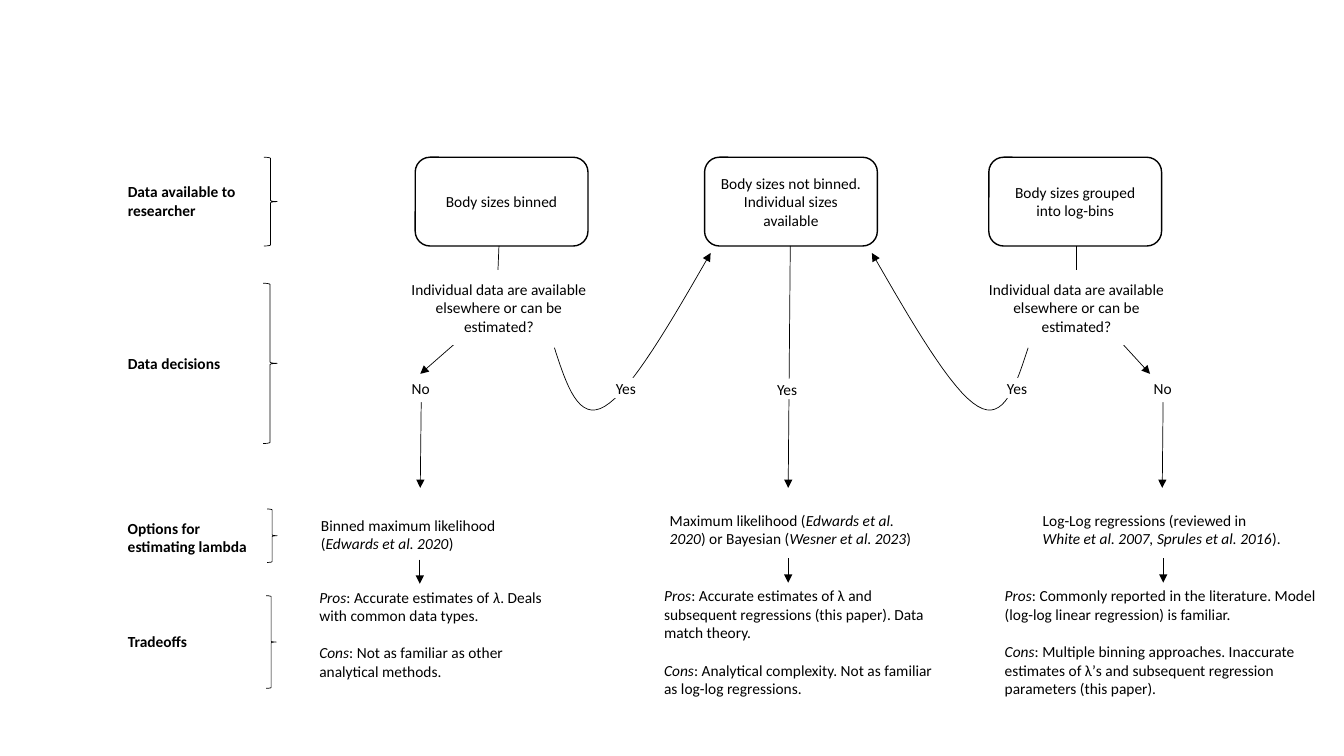
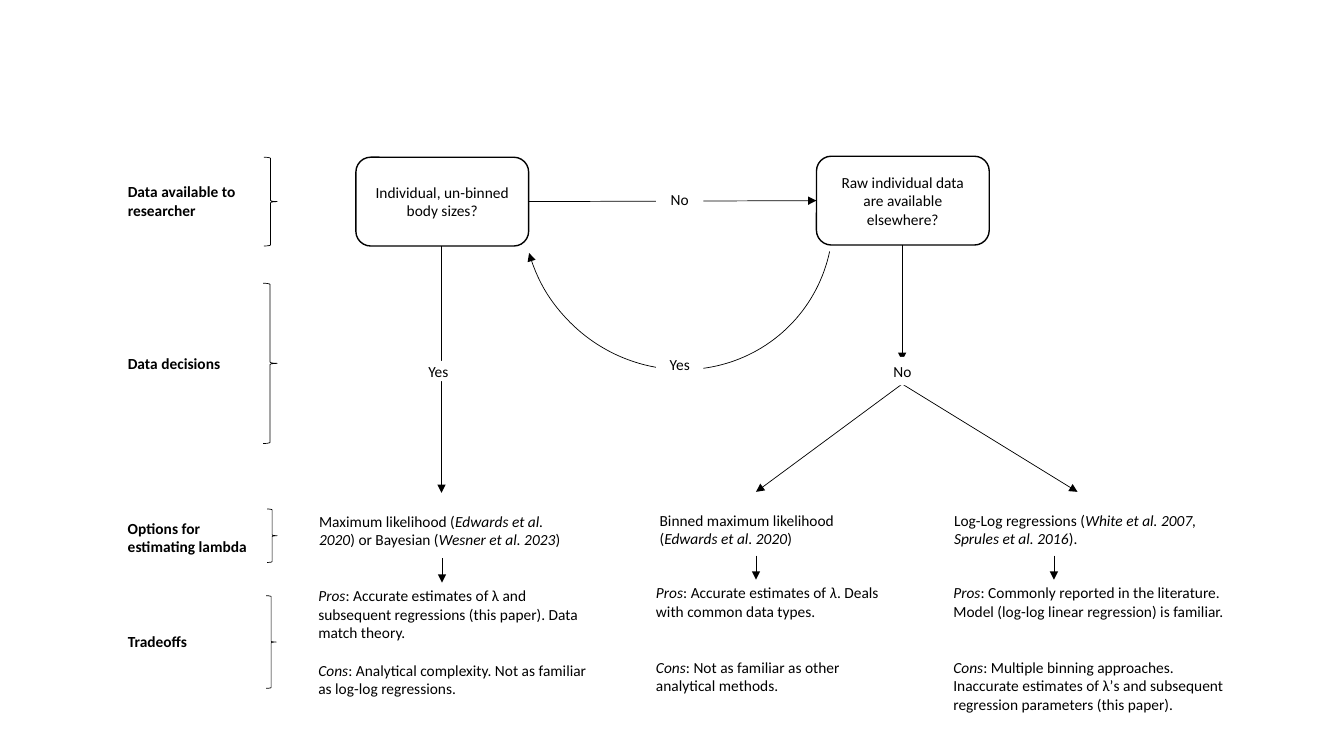
from lxml.etree import SubElement
from pptx import Presentation
from pptx.dml.color import RGBColor
from pptx.enum.shapes import MSO_CONNECTOR, MSO_SHAPE
from pptx.enum.text import MSO_ANCHOR, MSO_AUTO_SIZE, PP_ALIGN
from pptx.oxml.ns import qn
from pptx.util import Pt

INK = {"text": "000000", "line": "000000", "back": "FFFFFF"}
FONT, SIZE = "Calibri", 11
GAP = 13.4  # one line of text
NODE = (123.4, 63.4)
YES, NO = (43.2, 14.4), (33.8, 20.2)


def ink(shape, width=0.5, head=False):
    """Plain black line without shadow, with an arrowhead if asked."""
    shape.line.color.rgb = RGBColor.from_string(INK["line"])
    shape.line.width = Pt(width)
    props = shape._element.spPr
    if head:
        SubElement(props.find(qn("a:ln")), qn("a:tailEnd"), type="triangle")
    SubElement(props, qn("a:effectLst"))


def put(page, kind, box, text, gap=0):
    """Text of one kind: node, tag, option, note or side; *stars* mark italics."""
    place = [Pt(v) for v in box]
    if kind in ("note", "side"):
        shape = page.shapes.add_textbox(*place)
        shape.text_frame.auto_size = MSO_AUTO_SIZE.SHAPE_TO_FIT_TEXT
    else:
        shape = page.shapes.add_shape(MSO_SHAPE.ROUNDED_RECTANGLE, *place)
        shape.text_frame.vertical_anchor = MSO_ANCHOR.MIDDLE
        if kind == "node":
            shape.fill.background()
            ink(shape, 1)
        else:
            shape.shadow.inherit = False
            shape.fill.solid()
            shape.fill.fore_color.rgb = RGBColor.from_string(INK["back"])
            shape.line.fill.background()
    frame = shape.text_frame
    frame.word_wrap = box[2] > 60
    for i, part in enumerate(text.split("\n")):
        para = frame.add_paragraph() if i else frame.paragraphs[0]
        para.alignment = PP_ALIGN.CENTER if kind in ("node", "tag") else PP_ALIGN.LEFT
        if i:
            para.space_before = Pt(gap)
        for j, piece in enumerate(part.split("*")):
            if piece:
                run = para.add_run()
                run.text = piece
                run.font.name, run.font.size = FONT, Pt(SIZE)
                run.font.bold, run.font.italic = kind == "side", j % 2 == 1
                run.font.color.rgb = RGBColor.from_string(INK["text"])


deck = Presentation()
deck.slide_width, deck.slide_height = Pt(960), Pt(540)
flow, tree = [deck.slides.add_slide(deck.slide_layouts[6]) for _ in range(2)]

# Row names and braces on both slides: label top, width, height, then brace
ROWS = [
    ("Data available to researcher", 126.7, 135.4, 33.8, (188.6, 112.3, 9.4, 63.4)),
    ("Data decisions", 249.1, 135.4, 20.9, (187.9, 202.3, 10.1, 114.5)),
    ("Options for estimating lambda", 367.2, 105.8, 33.8, (190.8, 363.6, 7.2, 38.2)),
    ("Tradeoffs", 447.8, 135.4, 20.9, (190.1, 425.5, 7.2, 66.2)),
]
for page in (flow, tree):
    for name, top, wide, high, brace in ROWS:
        put(page, "side", (84.2, top, wide, high), name)
        shape = page.shapes.add_shape(MSO_SHAPE.RIGHT_BRACE, *[Pt(v) for v in brace])
        shape.fill.background()
        ink(shape)

# Straight links: from, to, arrowhead
LINKS = [
    (flow, 830.9, 277.2, 830.2, 348.5, True),
    (flow, 301, 277.2, 300.2, 348.5, True),
    (flow, 346.3, 226.8, 300.2, 267.1, True),
    (flow, 781.9, 223.9, 821.5, 267.1, True),
    (flow, 564.5, 175.7, 563, 348.5, True),
    (flow, 769, 175.7, 769, 193, False),
    (flow, 356.4, 175.7, 355.7, 193, False),
    (tree, 644.4, 274.3, 540, 351.4, True),
    (tree, 644.4, 274.3, 769.7, 351.4, True),
    (tree, 644.4, 175, 644.4, 257.8, True),
    (tree, 315.4, 175.7, 315.4, 352.1, True),
    (tree, 378, 144, 583.2, 143.3, True),
]
for page, *ends, head in LINKS:
    ink(page.shapes.add_connector(MSO_CONNECTOR.STRAIGHT, *[Pt(v) for v in ends]), head=head)

# Curved "Yes" arrows: two Bezier spans, and the same mirrored
BEND = [(734.4, 248.4), (725.8, 275), (717.1, 301.7), (698.4, 290.2),
        (679.7, 279.4), (650.9, 229.7), (622.8, 180.7)]
STEPS = 16
for flip in (False, True):
    knots = [(1130.4 - x if flip else x, y) for x, y in BEND]
    dots = [knots[0]]
    for start in (0, 3):
        span = knots[start:start + 4]
        for step in range(1, STEPS + 1):
            t = step / STEPS
            mix = ((1 - t) ** 3, 3 * t * (1 - t) ** 2, 3 * t * t * (1 - t), t ** 3)
            dots.append(tuple(sum(m * p[k] for m, p in zip(mix, span)) for k in (0, 1)))
    dots = [(Pt(x), Pt(y)) for x, y in dots]
    pen = flow.shapes.build_freeform(*dots[0], scale=1.0)
    pen.add_line_segments(dots[1:], close=False)
    curve = pen.convert_to_shape()
    curve.fill.background()
    ink(curve, head=True)

# Arc back to the first node
arc = tree.shapes.add_shape(MSO_SHAPE.ARC, Pt(375.1), Pt(40.3), Pt(218.2), Pt(225.4))
arc.rotation = 137
arc.adjustments[0], arc.adjustments[1] = 142.07, 17.031
arc.fill.background()
ink(arc, head=True)

# Nodes
for page, left, top, text in [
    (flow, 296.6, 112.3, "Body sizes binned"),
    (flow, 503.3, 112.3, "Body sizes not binned. Individual sizes available"),
    (flow, 706.3, 112.3, "Body sizes grouped into log-bins"),
    (tree, 254.2, 112.3, "Individual, un-binned body sizes?"),
    (tree, 583.2, 111.6, "Raw individual data are available elsewhere?"),
]:
    put(page, "node", (left, top, *NODE), text)

# Questions and answers on the links
ASK = "Individual data are available elsewhere or can be estimated?"
for page, left, top, size, text in [
    (flow, 277.2, 193, (158.4, 53.3), ASK),
    (flow, 691.2, 193, (155.5, 53.3), ASK),
    (flow, 283.7, 267.1, NO, "No"),
    (flow, 813.6, 267.1, NO, "No"),
    (flow, 425.5, 270, YES, "Yes"),
    (flow, 540.7, 270.7, YES, "Yes"),
    (flow, 704.9, 270, YES, "Yes"),
    (tree, 291.6, 257.8, YES, "Yes"),
    (tree, 468.7, 136.1, (33.8, 12.2), "No"),
    (tree, 468.7, 241.9, (33.8, 37.4), "Yes"),
    (tree, 627.8, 254.9, NO, "No"),
]:
    put(page, "tag", (left, top, *size), text)

# Options with their tradeoffs
BINNED = "Binned maximum likelihood (*Edwards et al. 2020*)"
LIKELY = "Maximum likelihood (*Edwards et al. 2020*) or Bayesian (*Wesner et al. 2023*)"
LOGS = "Log-Log regressions (%s*White et al. 2007, Sprules et al. 2016*)."
TRADE = {
    "binned": "*Pros*: Accurate estimates of *λ*. Deals with common data types.\n"
              "*Cons*: Not as familiar as other analytical methods. ",
    "likely": "*Pros*: Accurate estimates of λ and subsequent regressions (this paper). "
              "Data match theory.\n"
              "*Cons*: Analytical complexity. Not as familiar as log-log regressions.",
    "logs": "*Pros*: Commonly reported in the literature. Model (log-log linear regression) "
            "is familiar.\n"
            "*Cons*: Multiple binning approaches. Inaccurate estimates of λ’s and "
            "subsequent regression parameters (this paper).",
}
# Option left, top, width; note box; gap in lines; arrow position
for page, text, spot, key, note, lines, mid in [
    (flow, BINNED, (219.6, 355, 158.4), "binned", (221, 416.2, 180, 74.2), 1, 299.9),
    (flow, LIKELY, (468.7, 351.4, 195.1), "likely", (467.3, 415.4, 211, 87.1), 1, 563),
    (flow, LOGS % "reviewed in ", (735.1, 351.4, 191.5), "logs",
     (710.6, 415.4, 241.2, 87.1), 1, 830.9),
    (tree, LIKELY, (218.2, 352.1, 195.1), "likely", (220.3, 415.4, 211, 87.1), 1, 315.7),
    (tree, BINNED, (461.5, 351.4, 158.4), "binned", (461.5, 413.3, 180, 87.1), 2, 540),
    (tree, LOGS % "", (671.8, 351.4, 195.1), "logs", (673.9, 413.3, 216, 100.8), 2, 752.8),
]:
    put(page, "option", (*spot, 53.3), text)
    put(page, "note", note, TRADE[key], lines * GAP)
    ends = (mid, note[1] - 16.5, mid, note[1] + 0.8)
    ink(page.shapes.add_connector(MSO_CONNECTOR.STRAIGHT, *[Pt(v) for v in ends]), head=True)

deck.save("out.pptx")
